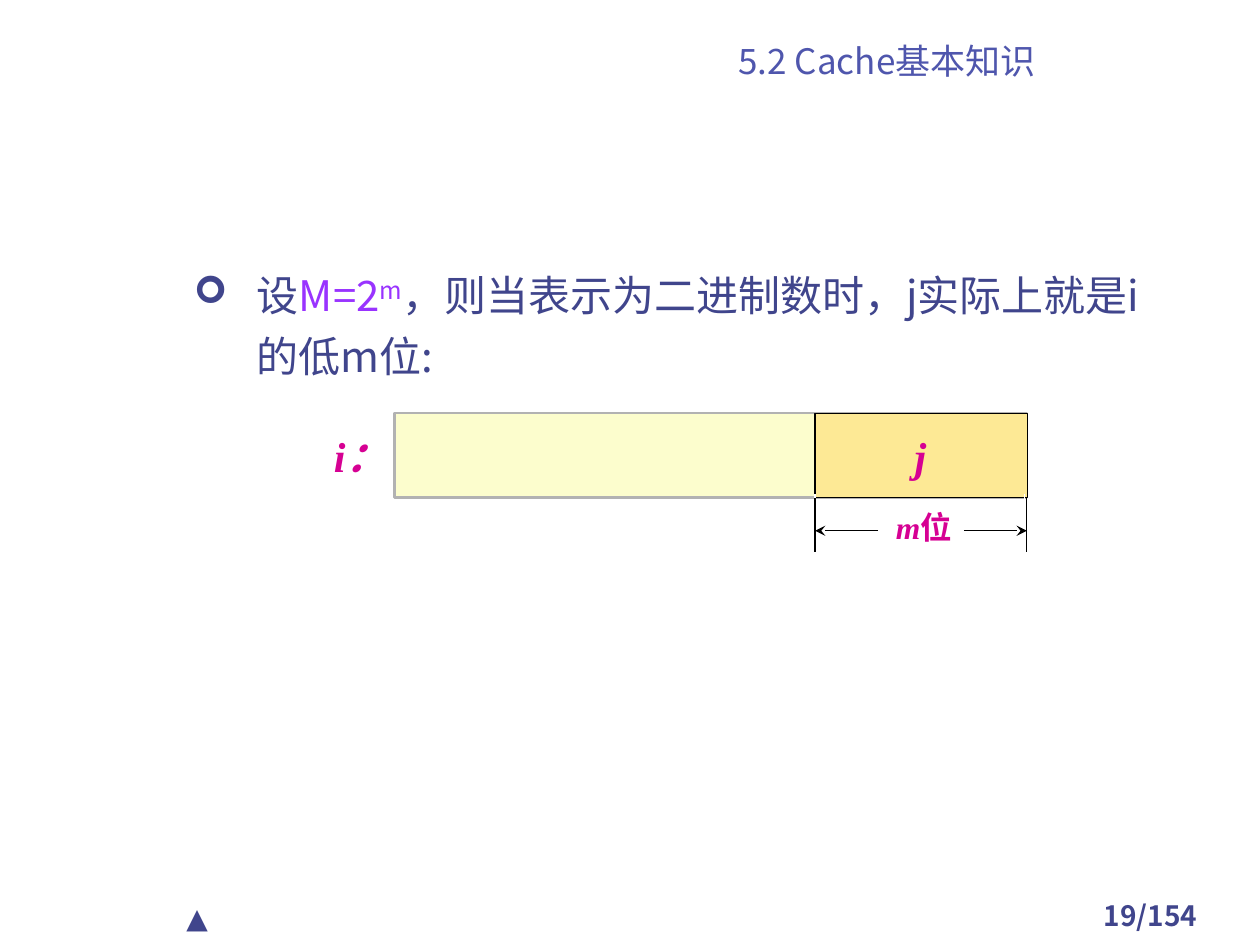
from pptx import Presentation
from pptx.dml.color import RGBColor as RGB
from pptx.enum.shapes import MSO_CONNECTOR as LINE, MSO_SHAPE as SHAPE
from pptx.enum.text import MSO_ANCHOR as ANCHOR, PP_ALIGN as ALIGN
from pptx.oxml.ns import qn
from pptx.util import Cm, Pt
from lxml.etree import SubElement as Sub

HUE = {"navy": "40458C", "title": "4F56AD", "violet": "9933FF", "pink": "D60093",
       "cream": "FCFDCD", "gold": "FDE995", "grey": "B2B2B2",
       "black": "000000", "white": "FFFFFF"}
SANS, SERIF, ROUND = "Noto Sans CJK SC", "Times New Roman", "Roboto"


def tint(name):
    return RGB.from_string(HUE[name])


def add_box(slide, x, y, w, h, anchor=ANCHOR.TOP):
    frame = slide.shapes.add_textbox(Cm(x), Cm(y), Cm(w), Cm(h)).text_frame
    frame.word_wrap = True
    frame.vertical_anchor = anchor
    return frame.paragraphs[0]


def add_run(para, text, size, hue, face=SANS, bold=False, slant=False, lift=0):
    run = para.add_run()
    run.text = text
    font = run.font
    font.size, font.name = Pt(size), face
    font.bold, font.italic = bold, slant
    font.color.rgb = tint(hue)
    props = run._r.get_or_add_rPr()
    Sub(props, qn("a:ea"), typeface=SANS)
    if lift:
        props.set("baseline", str(lift * 1000))


def add_line(slide, x1, y1, x2, y2, hue, arrow=False):
    line = slide.shapes.add_connector(LINE.STRAIGHT, Cm(x1), Cm(y1), Cm(x2), Cm(y2))
    line.line.color.rgb = tint(hue)
    line.line.width = Pt(0.75)
    if arrow:
        Sub(line.line._get_or_add_ln(), qn("a:tailEnd"), type="stealth")
    Sub(line._element.spPr, qn("a:effectLst"))


def add_rect(slide, x, y, w, h, fill, edge, width):
    rect = slide.shapes.add_shape(SHAPE.RECTANGLE, Cm(x), Cm(y), Cm(w), Cm(h))
    rect.shadow.inherit = False
    rect.fill.solid()
    rect.fill.fore_color.rgb = tint(fill)
    rect.line.color.rgb = tint(edge)
    rect.line.width = Pt(width)


def add_title(slide, x, y, w, h):
    para = add_box(slide, x, y, w, h, ANCHOR.BOTTOM)
    para.alignment = ALIGN.CENTER
    add_run(para, "5.2 Cache基本知识", 20, "title")


def add_body(slide, x, y, w, h):
    para = add_box(slide, x, y, w, h)
    para.line_spacing = 1.2
    # Arrow bullet with a hanging indent
    props = para._p.get_or_add_pPr()
    props.set("marL", str(Cm(3.02)))
    props.set("indent", str(-Cm(1.27)))
    Sub(Sub(props, qn("a:buClr")), qn("a:srgbClr"), val=HUE["navy"])
    Sub(props, qn("a:buSzPct"), val="90000")
    Sub(props, qn("a:buFont"), typeface="Wingdings")
    Sub(props, qn("a:buChar"), char="➢")
    add_run(para, "设", 24, "navy")
    add_run(para, "M=2", 24, "violet")
    add_run(para, "m", 24, "violet", lift=30)
    add_run(para, "，则当表示为二进制数时，j实际上就是i的低m位:", 24, "navy")


def add_span(slide, x, y, w, hue):
    """Two end ticks with an outward arrow to each."""
    mid, reach = y + 0.65, 1.27
    for end, way in ((x + w, -1), (x, 1)):
        add_line(slide, end, y, end, y + 1.07, hue)
        add_line(slide, end + way * reach, mid, end, mid, hue, arrow=True)


def add_word(slide, x, y, w, h):
    """Address i with its low field j of m bits."""
    low = 4.29
    split = x + w - low
    # Fields
    add_rect(slide, x, y, w - 0.02, h, "cream", "grey", 1.5)
    add_rect(slide, split, y, low, h, "gold", "black", 0.75)
    add_line(slide, split, y + 0.05, split, y + h + 0.05, "black")
    # Width marks, black over white
    add_span(slide, split, y + h - 0.07, low - 0.07, "white")
    add_span(slide, split, y + h + 0.02, low - 0.02, "black")
    # Labels
    for text, left in (("j", split + 1.76), ("i：", x - 1.47)):
        para = add_box(slide, left, y + 0.23, 2.34, 1.27)
        add_run(para, text, 24, "pink", SERIF, True, True)
    para = add_box(slide, split + 1.38, y + h + 0.08, 2.34, 1.02)
    add_run(para, "m", 18, "pink", SERIF, True, True)
    add_run(para, "位", 18, "pink", SERIF, True)


def add_foot(slide, x, y, w, h):
    wide = 3.61
    add_run(add_box(slide, x, y + 0.05, wide, h), "▲", 16, "navy", ROUND)
    para = add_box(slide, x + w - wide, y, wide, h)
    para.alignment = ALIGN.CENTER
    add_run(para, "19/154", 16, "navy", bold=True)


def main():
    deck = Presentation()
    deck.slide_width, deck.slide_height = Cm(25.4), Cm(19.05)
    slide = deck.slides.add_slide(deck.slide_layouts[6])
    add_foot(slide, 3.51, 17.98, 21.49, 0.9)
    add_body(slide, 1.91, 5.11, 21.59, 7.21)
    add_word(slide, 7.95, 8.33, 12.77, 1.7)
    add_title(slide, 10.8, 0.69, 14.17, 1.07)
    deck.save("out.pptx")


if __name__ == "__main__":
    main()
